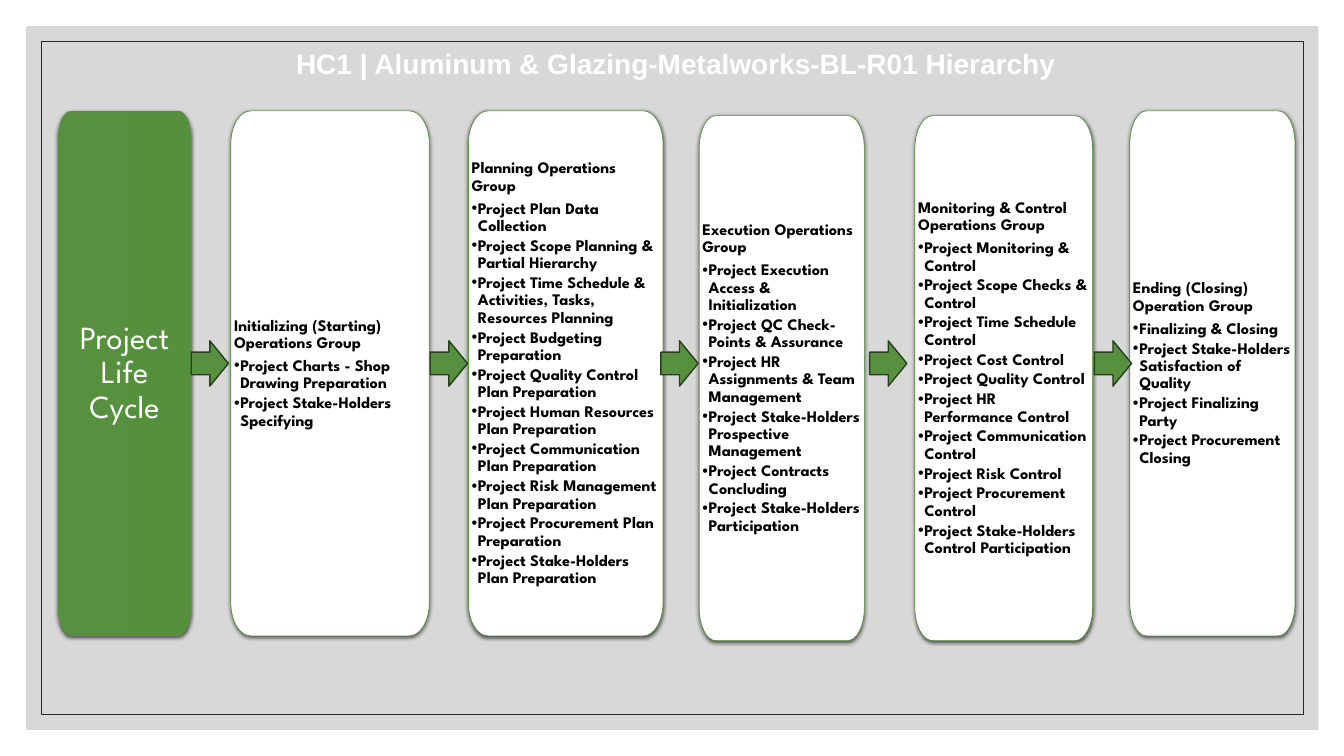
import lxml.etree
import pptx
import pptx.dml.color
import pptx.enum.shapes
import pptx.enum.text
import pptx.oxml.ns
import pptx.util

Pt = pptx.util.Pt
GREEN, FONT = "57903F", "League Spartan"
TOP, LOW, TALL = 79.2, 82.6, 375
ARROWS = [136.6, 307.4, 472.1, 621.2, 781.7]
GROUPS = [
    (164.9, TOP, 141.8, "Initializing (Starting) Operations Group", [
        "Project Charts - Shop Drawing Preparation",
        "Project Stake-Holders Specifying",
    ]),
    (334.6, TOP, 139, "Planning Operations Group", [
        "Project Plan Data Collection",
        "Project Scope Planning & Partial Hierarchy",
        "Project Time Schedule & Activities, Tasks, Resources Planning",
        "Project Budgeting Preparation",
        "Project Quality Control Plan Preparation",
        "Project Human Resources Plan Preparation",
        "Project Communication Plan Preparation",
        "Project Risk Management Plan Preparation",
        "Project Procurement Plan Preparation",
        "Project Stake-Holders Plan Preparation",
    ]),
    (499.4, LOW, 118, "Execution Operations Group", [
        "Project Execution Access & Initialization",
        "Project QC Check-Points & Assurance",
        "Project HR Assignments & Team Management",
        "Project Stake-Holders Prospective Management",
        "Project Contracts Concluding",
        "Project Stake-Holders Participation",
    ]),
    (653.5, LOW, 127, "Monitoring & Control Operations Group", [
        "Project Monitoring & Control",
        "Project Scope Checks & Control",
        "Project Time Schedule Control",
        "Project Cost Control",
        "Project Quality Control",
        "Project HR Performance Control",
        "Project Communication Control",
        "Project Risk Control",
        "Project Procurement Control",
        "Project Stake-Holders Control Participation",
    ]),
    (807, TOP, 118, "Ending (Closing) Operation Group", [
        "Finalizing & Closing",
        "Project Stake-Holders Satisfaction of Quality",
        "Project Finalizing Party",
        "Project Procurement Closing",
    ]),
]


def rgb(code):
    """Turn a hex string into a colour."""
    return pptx.dml.color.RGBColor.from_string(code)


def node(parent, tag, **attrs):
    """Append a drawing element to a parent."""
    child = lxml.etree.SubElement(parent, pptx.oxml.ns.qn("a:" + tag))
    for key, value in attrs.items():
        child.set(key, str(value))
    return child


def paint(shape, fill=None, alpha=100, line=None, width=0.5):
    """Set fill, opacity and outline, and clear the shadow."""
    shape.shadow.inherit = False
    if fill:
        shape.fill.solid()
        shape.fill.fore_color.rgb = rgb(fill)
        if alpha < 100:
            tint = shape.element.xpath("./p:spPr/a:solidFill/a:srgbClr")[0]
            node(tint, "alpha", val=alpha * 1000)
    else:
        shape.fill.background()
    if line:
        shape.line.color.rgb = rgb(line)
        shape.line.width = Pt(width)
    else:
        shape.line.fill.background()


def block(slide, kind, box, **style):
    """Draw a preset shape."""
    shape = slide.shapes.add_shape(kind, *map(Pt, box))
    paint(shape, **style)


def bend(shape):
    """Turn every other edge of an outline into a corner curve."""
    dots = [(int(dot.get("x")), int(dot.get("y")))
            for dot in shape.element.xpath(".//a:path//a:pt")]
    edges = shape.element.xpath(".//a:path/a:lnTo")
    for spot in range(0, 8, 2):
        start, end = dots[spot], dots[spot + 1]
        tip = (end[0], start[1]) if spot % 4 == 0 else (start[0], end[1])
        curve = node(edges[spot].getparent(), "cubicBezTo")
        edges[spot].getparent().replace(edges[spot], curve)
        for base in (start, end):
            x, y = (round(b + 0.55 * (t - b)) for b, t in zip(base, tip))
            node(curve, "pt", x=x, y=y)
        node(curve, "pt", x=end[0], y=end[1])


def card(slide, left, top, wide, curve, **style):
    """Draw a tall card with oval corners and a soft shadow."""
    flat, right, base = wide / 10, left + wide, top + TALL
    points = [
        (right - flat, top), (right, top + curve),
        (right, base - curve), (right - flat, base),
        (left + flat, base), (left, base - curve),
        (left, top + curve), (left + flat, top),
    ]
    points = [(Pt(x), Pt(y)) for x, y in points]
    pen = slide.shapes.build_freeform(*points[0])
    pen.add_line_segments(points[1:], close=True)
    shape = pen.convert_to_shape()
    bend(shape)
    paint(shape, **style)
    effect = shape.element.xpath("./p:spPr/a:effectLst")[0]
    shade = node(effect, "outerShdw", blurRad=Pt(3), dist=Pt(1),
                 dir=5400000, algn="ctr", rotWithShape=0)
    node(node(shade, "srgbClr", val="000000"), "alpha", val=63000)
    return shape


def frame(shape, side, edge):
    """Prepare a wrapped, middle-anchored text frame."""
    text = shape.text_frame
    text.word_wrap = True
    text.vertical_anchor = pptx.enum.text.MSO_ANCHOR.MIDDLE
    text.margin_left = text.margin_right = Pt(side)
    text.margin_top = text.margin_bottom = Pt(edge)
    return text


def write(para, words, size, color, font=FONT, bold=False, center=False):
    """Put one styled run in a paragraph."""
    align = pptx.enum.text.PP_ALIGN
    para.alignment = align.CENTER if center else align.LEFT
    para.line_spacing = 0.9
    run = para.add_run()
    run.text = words
    run.font.name, run.font.size, run.font.bold = font, Pt(size), bold
    run.font.color.rgb = rgb(color)


def group(slide, left, top, wide, head, items):
    """Draw a white card with a heading and bullets."""
    shape = card(slide, left, top, wide, 23.6, fill="FFFFFF", line=GREEN)
    text = frame(shape, 2.3, 2.3)
    para = text.paragraphs[0]
    para.space_after = Pt(4)
    write(para, head, 11.5, "000000", bold=True)
    for item in items:
        para = text.add_paragraph()
        para.level = 1
        props = para._p.get_or_add_pPr()
        props.set("marL", str(Pt(4.5)))
        props.set("indent", str(-Pt(4.5)))
        node(props, "buFont", typeface="Arial")
        node(props, "buChar", char="•")
        para.space_after = Pt(1.72)
        write(para, item, 11.5, "000000", bold=True)


def cycle(slide):
    """Draw the green card that names the cycle."""
    shape = card(slide, 41.5, TOP, 95, 18.7)
    shape.fill.gradient()
    shape.fill.gradient_angle = 0
    for stop, code in zip(shape.fill.gradient_stops, (GREEN, "55913C")):
        stop.color.rgb = rgb(code)
    para = frame(shape, 4.5, 5).paragraphs[0]
    write(para, "Project Life Cycle", 23, "FFFFFF", center=True)


def title(slide, words):
    """Write the slide title."""
    box = slide.shapes.add_textbox(Pt(86.8), Pt(30.4), Pt(792), Pt(32.4))
    para = frame(box, 7.2, 3.6).paragraphs[0]
    write(para, words, 20, "FFFFFF", font="Arial", bold=True, center=True)


def main():
    """Build and save the slide."""
    deck = pptx.Presentation()
    deck.slide_width, deck.slide_height = Pt(960), Pt(540)
    slide = deck.slides.add_slide(deck.slide_layouts[6])
    kinds = pptx.enum.shapes.MSO_SHAPE
    block(slide, kinds.RECTANGLE, (18.7, 18.7, 923, 502.6),
          fill="BFBFBF", alpha=60)
    block(slide, kinds.RECTANGLE, (29.5, 29.5, 901.4, 481), line="262626")
    title(slide, "HC1 | Aluminum & Glazing-Metalworks-BL-R01 Hierarchy")
    cycle(slide)
    for entry in GROUPS:
        group(slide, *entry)
    for left in ARROWS:
        block(slide, kinds.RIGHT_ARROW, (left, 243.4, 26.6, 32.4),
              fill=GREEN, line="263F1C", width=1)
    deck.save("out.pptx")


if __name__ == "__main__":
    main()
